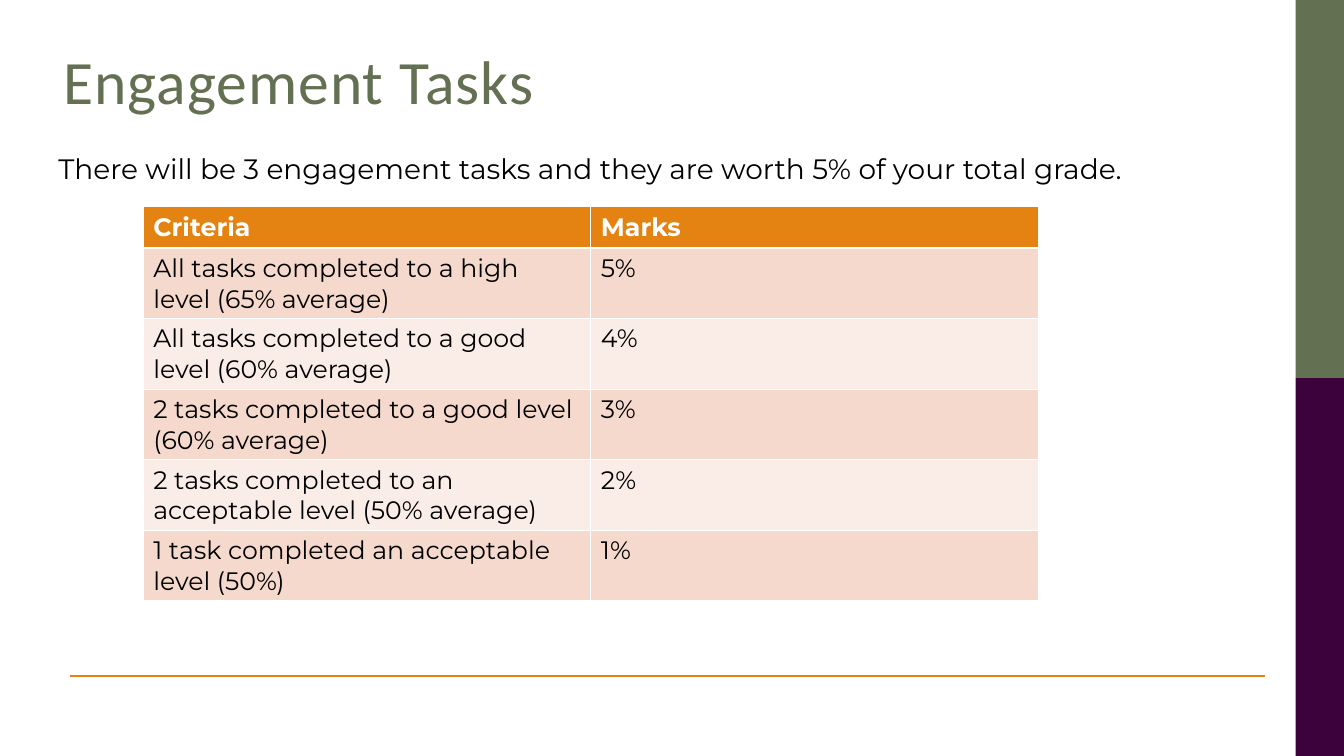
from lxml import etree
from pptx import Presentation
from pptx import util as u
from pptx.dml.color import RGBColor
from pptx.enum import shapes, text
from pptx.oxml.ns import qn

ORANGE, GREEN, PURPLE = "E48312", "637052", "3C023C"
WHITE, BLACK = "FFFFFF", "000000"
BANDS = ["F5D9CC", "FAEDE7"]


def paint(fill, color):
    fill.solid()
    fill.fore_color.rgb = RGBColor.from_string(color)


def add_run(p, words, size, font, color, bold=False):
    r = p.add_run()
    r.text = words
    r.font.size, r.font.name, r.font.bold = u.Pt(size), font, bold
    r.font.color.rgb = RGBColor.from_string(color)
    return r


prs = Presentation()
prs.slide_width, prs.slide_height = u.Inches(13.33), u.Inches(7.5)
s = prs.slides.add_slide(prs.slide_layouts[5])

# Side band in two halves
band_left, half = u.Inches(12.85), prs.slide_height // 2
for i, color in enumerate([GREEN, PURPLE]):
    sp = s.shapes.add_shape(shapes.MSO_SHAPE.RECTANGLE, band_left, i * half,
                            prs.slide_width - band_left, half)
    sp.shadow.inherit = False
    paint(sp.fill, color)
    sp.line.fill.background()

# Footer rule
rule_y = u.Inches(6.71)
rule = s.shapes.add_connector(shapes.MSO_CONNECTOR.STRAIGHT,
                              u.Inches(0.69), rule_y, u.Inches(12.55), rule_y)
paint(rule.line.fill, ORANGE)
rule.line.width = u.Pt(1.5)
etree.SubElement(rule._element.spPr, qn("a:effectLst"))

# Title
title = s.shapes.title
title.left, title.top = u.Inches(0.53), u.Inches(0.61)
title.width, title.height = u.Inches(11.83), u.Inches(1)
tf = title.text_frame
tf.auto_size = text.MSO_AUTO_SIZE.NONE
tf.vertical_anchor = text.MSO_ANCHOR.TOP
p = tf.paragraphs[0]
p.alignment = text.PP_ALIGN.LEFT
p.line_spacing = u.Pt(36)
r = add_run(p, "Engagement Tasks", 44, "Calibri", GREEN)
r._r.get_or_add_rPr().set("spc", "70")

# Introduction
intro = s.shapes.add_textbox(u.Inches(0.48), u.Inches(1.45), u.Inches(11.93), u.Inches(3.47))
tf = intro.text_frame
tf.word_wrap = True
add_run(tf.paragraphs[0],
        "There will be 3 engagement tasks and they are worth 5% of your total grade.",
        20, "Montserrat", BLACK)

# Marking table
rows = [
    ("Criteria", "Marks"),
    ("All tasks completed to a high level (65% average)", "5%"),
    ("All tasks completed to a good level (60% average)", "4%"),
    ("2 tasks completed to a good level (60% average)", "3%"),
    ("2 tasks completed to an acceptable level (50% average)", "2%"),
    ("1 task completed an acceptable level (50%)", "1%"),
]
table = s.shapes.add_table(len(rows), 2, u.Inches(1.42), u.Inches(2.05),
                           u.Inches(8.88), u.Inches(3.91)).table
for i, row in enumerate(rows):
    header = i == 0
    table.rows[i].height = u.Inches(0.41 if header else 0.7)
    for j, words in enumerate(row):
        cell = table.cell(i, j)
        paint(cell.fill, ORANGE if header else BANDS[(i - 1) % 2])
        add_run(cell.text_frame.paragraphs[0], words, 18, "Montserrat",
                WHITE if header else BLACK, header)

prs.save("out.pptx")
